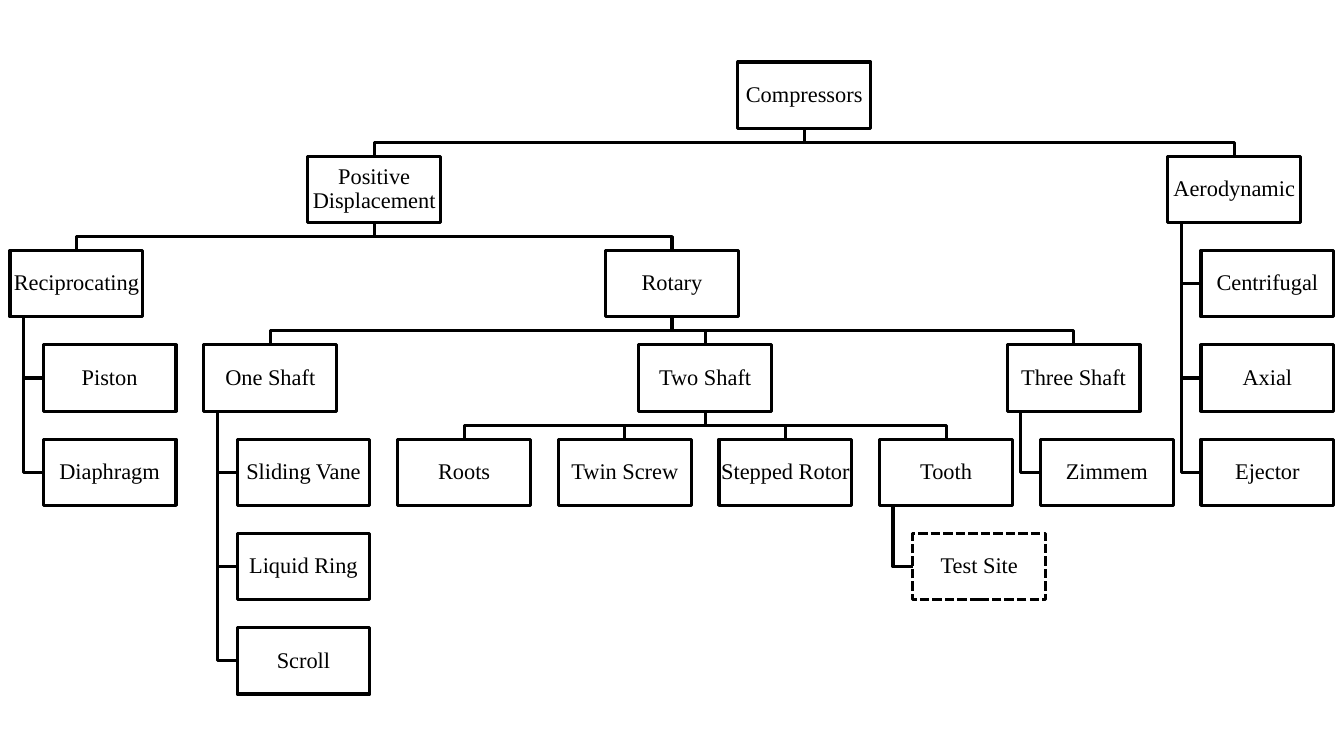
from collections import defaultdict
from dataclasses import dataclass, field

import pptx
import pptx.dml.color
import pptx.enum.dml
import pptx.enum.shapes
import pptx.enum.text
import pptx.util
from pptx.util import Pt


@dataclass(frozen=True)
class Theme:
    ink: pptx.dml.color.RGBColor = pptx.dml.color.RGBColor(0, 0, 0)
    font: str = "Times New Roman"
    label_size: float = 16
    line_width: float = 2.25
    inset: float = 0.72
    line_spacing: float = 0.9


@dataclass
class Category:
    label: str
    children: list = field(default_factory=list)
    hanging: bool = False
    dashed: bool = False
    left: float = 0
    row: int = 0


THEME = Theme()
SLIDE_WIDTH, SLIDE_HEIGHT = 960, 540
MARGIN = 7.2
BOX_WIDTH = 94.84
BOX_HEIGHT = BOX_WIDTH / 2
SIBLING_GAP = BOX_WIDTH * 0.21
ROW_PITCH = BOX_HEIGHT * 1.42
HANGING_INDENT = BOX_WIDTH / 4
STEM_INSET = BOX_WIDTH / 10


def hang(label, *children):
    return Category(label, list(children), hanging=True)


def spread(label, *children):
    return Category(label, list(children))


COMPRESSORS = spread(
    "Compressors",
    spread(
        "Positive Displacement",
        hang("Reciprocating", Category("Piston"), Category("Diaphragm")),
        spread(
            "Rotary",
            hang("One Shaft", Category("Sliding Vane"),
                 Category("Liquid Ring"), Category("Scroll")),
            spread("Two Shaft", Category("Roots"), Category("Twin Screw"),
                   Category("Stepped Rotor"),
                   hang("Tooth", Category("Test Site", dashed=True))),
            hang("Three Shaft", Category("Zimmem")),
        ),
    ),
    hang("Aerodynamic", Category("Centrifugal"), Category("Axial"),
         Category("Ejector")),
)


def arrange(category, row, next_free):
    category.row = row
    if category.children and not category.hanging:
        for child in category.children:
            arrange(child, row + 1, next_free)
        first, last = category.children[0], category.children[-1]
        category.left = (first.left + last.left) / 2
    else:
        category.left = max(
            [next_free[row]]
            + [next_free[row + step] - HANGING_INDENT
               for step in range(1, len(category.children) + 1)])
        for step, child in enumerate(category.children, 1):
            child.left = category.left + HANGING_INDENT
            child.row = row + step
            next_free[child.row] = child.left + BOX_WIDTH + SIBLING_GAP
    next_free[row] = category.left + BOX_WIDTH + SIBLING_GAP


def descend(category):
    yield category
    for child in category.children:
        yield from descend(child)


def style_line(outline):
    outline.shadow.inherit = False
    outline.fill.background()
    outline.line.color.rgb = THEME.ink
    outline.line.width = Pt(THEME.line_width)


def draw_branch(slide, parent, child, chart_top):
    parent_bottom = chart_top + parent.row * ROW_PITCH + BOX_HEIGHT
    child_top = chart_top + child.row * ROW_PITCH
    if parent.hanging:
        stem = parent.left + STEM_INSET
        child_middle = child_top + BOX_HEIGHT / 2
        route = [(stem, parent_bottom), (stem, child_middle),
                 (child.left, child_middle)]
    else:
        parent_center = parent.left + BOX_WIDTH / 2
        child_center = child.left + BOX_WIDTH / 2
        crossbar = (parent_bottom + child_top) / 2
        route = [(parent_center, parent_bottom), (parent_center, crossbar),
                 (child_center, crossbar), (child_center, child_top)]
    start, *bends = [(Pt(x), Pt(y)) for x, y in route]
    builder = slide.shapes.build_freeform(*start)
    builder.add_line_segments(bends, close=False)
    style_line(builder.convert_to_shape())


def draw_category(slide, category, chart_top):
    box = slide.shapes.add_shape(
        pptx.enum.shapes.MSO_SHAPE.RECTANGLE, Pt(category.left),
        Pt(chart_top + category.row * ROW_PITCH), Pt(BOX_WIDTH), Pt(BOX_HEIGHT))
    style_line(box)
    if category.dashed:
        box.line.dash_style = pptx.enum.dml.MSO_LINE.SQUARE_DOT
    frame = box.text_frame
    frame.text = category.label
    frame.word_wrap = True
    frame.vertical_anchor = pptx.enum.text.MSO_ANCHOR.MIDDLE
    frame.margin_left = frame.margin_right = Pt(THEME.inset)
    frame.margin_top = frame.margin_bottom = Pt(THEME.inset)
    label = frame.paragraphs[0]
    label.alignment = pptx.enum.text.PP_ALIGN.CENTER
    label.line_spacing = THEME.line_spacing
    font = label.runs[0].font
    font.name = THEME.font
    font.size = Pt(THEME.label_size)
    font.color.rgb = THEME.ink


def draw_hierarchy(slide, root, left, top, height):
    arrange(root, 0, defaultdict(lambda: left))
    categories = list(descend(root))
    last_row = max(category.row for category in categories)
    chart_top = top + (height - last_row * ROW_PITCH - BOX_HEIGHT) / 2
    for parent in categories:
        for child in parent.children:
            draw_branch(slide, parent, child, chart_top)
    for category in categories:
        draw_category(slide, category, chart_top)


def main():
    presentation = pptx.Presentation()
    presentation.slide_width = Pt(SLIDE_WIDTH)
    presentation.slide_height = Pt(SLIDE_HEIGHT)
    slide = presentation.slides.add_slide(presentation.slide_layouts[6])
    draw_hierarchy(slide, COMPRESSORS, MARGIN, 0, SLIDE_HEIGHT)
    presentation.save("out.pptx")


if __name__ == "__main__":
    main()
